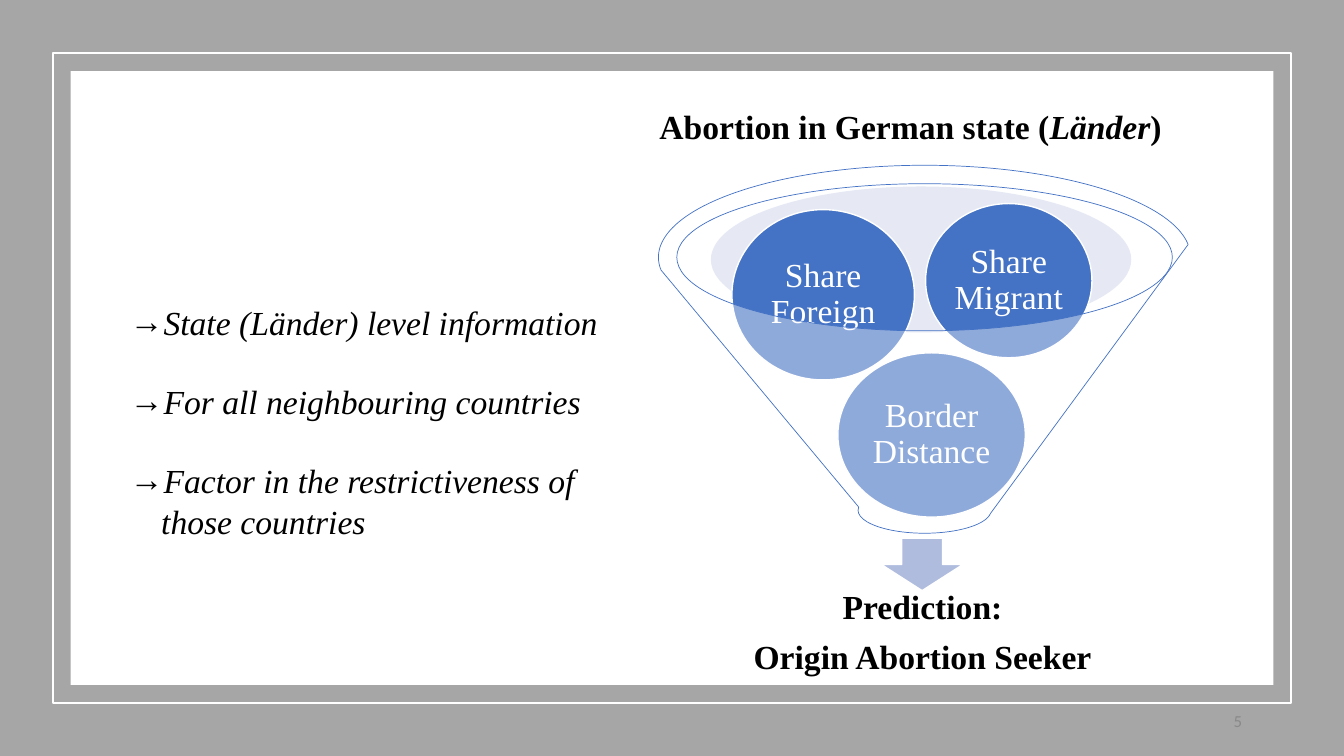
import pptx
import pptx.dml.color
import pptx.enum.shapes
import pptx.enum.text
import pptx.oxml.ns
import pptx.util
from lxml import etree

RGBColor = pptx.dml.color.RGBColor
PRESET = pptx.enum.shapes.MSO_SHAPE
ALIGN = pptx.enum.text.PP_ALIGN
ANCHOR = pptx.enum.text.MSO_ANCHOR
Inches = pptx.util.Inches
Pt = pptx.util.Pt
qn = pptx.oxml.ns.qn

GREY = RGBColor(0xA6, 0xA6, 0xA6)
WHITE = RGBColor(0xFF, 0xFF, 0xFF)
BLACK = RGBColor(0, 0, 0)
BLUE = RGBColor(0x44, 0x72, 0xC4)
PALE_BLUE = RGBColor(0xC1, 0xC9, 0xE4)
ARROW_BLUE = RGBColor(0xB0, 0xBC, 0xDE)
NUMBER_GREY = RGBColor(0x89, 0x89, 0x89)
SERIF = "Times New Roman"

presentation = pptx.Presentation()
presentation.slide_width = Inches(13.33)
presentation.slide_height = Inches(7.5)
slide = presentation.slides.add_slide(presentation.slide_layouts[5])
shapes = slide.shapes


def place(left, top, width, height):
    """Turn percentages of the slide's width and height into lengths."""
    column = presentation.slide_width / 100
    row = presentation.slide_height / 100
    return int(left * column), int(top * row), int(width * column), int(height * row)


def write(shape, text, size=24, font=SERIF, color=BLACK, bold=False, italic=False,
          align=ALIGN.LEFT, anchor=ANCHOR.TOP, line_spacing=1.0, gap=0, inset=None, bullet=None):
    """Write one paragraph per line of text; words between asterisks are italic."""
    frame = shape.text_frame
    frame.word_wrap = True
    frame.auto_size = pptx.enum.text.MSO_AUTO_SIZE.NONE
    frame.vertical_anchor = anchor
    if inset is not None:
        frame.margin_left = frame.margin_right = Inches(inset)
        frame.margin_top = frame.margin_bottom = Inches(inset)
    for index, line in enumerate(text.split("\n")):
        paragraph = frame.add_paragraph() if index else frame.paragraphs[0]
        paragraph.alignment = align
        paragraph.line_spacing = line_spacing
        paragraph.space_before = Pt(gap if index else 0)
        if bullet:
            properties = paragraph._p.get_or_add_pPr()
            properties.set("marL", str(Inches(0.31)))
            properties.set("indent", str(-Inches(0.31)))
            etree.SubElement(properties, qn("a:buFont"), typeface=font)
            etree.SubElement(properties, qn("a:buChar"), char=bullet)
        for position, words in enumerate(line.split("*")):
            run = paragraph.add_run()
            run.text = words
            run.font.size = Pt(size)
            run.font.name = font
            run.font.bold = bold
            run.font.italic = italic or position % 2 == 1
            run.font.color.rgb = color


# Frame and funnel, from back to front:
# preset, box, fill, opacity in percent, line, line width, label
inner, outer = 5.25, 7
figure = [
    (PRESET.RECTANGLE, (0, 0, 100, 100), GREY, 100, None, 0, ""),
    (PRESET.RECTANGLE, (3.94, 7, 92.12, 86), None, 100, WHITE, 1, ""),
    (PRESET.RECTANGLE, (5.25, 9.4, 89.5, 81.2), WHITE, 100, None, 0, ""),
    (PRESET.OVAL, (52.89, 24.67, 31.28, 19.33), PALE_BLUE, 40, None, 0, ""),
    (PRESET.DOWN_ARROW, (65.57, 71.2, 6.08, 6.93), ARROW_BLUE, 100, WHITE, 1, ""),
    (PRESET.OVAL, (62.34, 46.67, 13.95, 21.73), BLUE, 100, WHITE, 1, "Border Distance"),
    (PRESET.OVAL, (54.46, 27.73, 13.58, 22.53), BLUE, 100, WHITE, 1, "Share Foreign"),
    (PRESET.OVAL, (68.87, 26.93, 12.38, 20.4), BLUE, 100, WHITE, 1, "Share Migrant"),
    (PRESET.FUNNEL, (48.99, 21.87, 39.61, 48.67), WHITE, 40, BLUE, 0.5, ""),
]
for preset, box, fill, opacity, line, line_width, label in figure:
    shape = shapes.add_shape(preset, *place(*box))
    shape.shadow.inherit = False
    if fill is None:
        shape.fill.background()
    else:
        shape.fill.solid()
        shape.fill.fore_color.rgb = fill
    if opacity < 100:
        color = shape.element.spPr.find(qn("a:solidFill"))[0]
        etree.SubElement(color, qn("a:alpha"), val=str(opacity * 1000))
    if line is None:
        shape.line.fill.background()
    else:
        shape.line.color.rgb = line
        shape.line.width = Pt(line_width)
    if label:
        write(shape, label, color=WHITE, align=ALIGN.CENTER, anchor=ANCHOR.MIDDLE,
              line_spacing=0.9, inset=0.03)

prediction = shapes.add_textbox(*place(54.09, 77.33, 29.11, 12.93))
write(prediction, "Prediction:\nOrigin Abortion Seeker", bold=True, align=ALIGN.CENTER,
      anchor=ANCHOR.MIDDLE, line_spacing=0.9, gap=9.5, inset=0.19)

factors = shapes.add_textbox(*place(8.93, 39.33, 38.63, 33.6))
write(factors, "State (Länder) level information\nFor all neighbouring countries\n"
      "Factor in the restrictiveness of those countries", italic=True, gap=27.6, bullet="→")

title = shapes.title
title.left, title.top, title.width, title.height = place(48.31, 13.33, 40.51, 6.67)
write(title, "Abortion in German state (*Länder*)", bold=True)
shapes.element.append(title.element)  # bring the title in front of the white panel

slide_number = shapes.add_textbox(*place(70.67, 92.67, 22.5, 5.33))
write(slide_number, "5", size=12, font="Calibri", color=NUMBER_GREY, align=ALIGN.RIGHT,
      anchor=ANCHOR.MIDDLE)

presentation.save("out.pptx")
